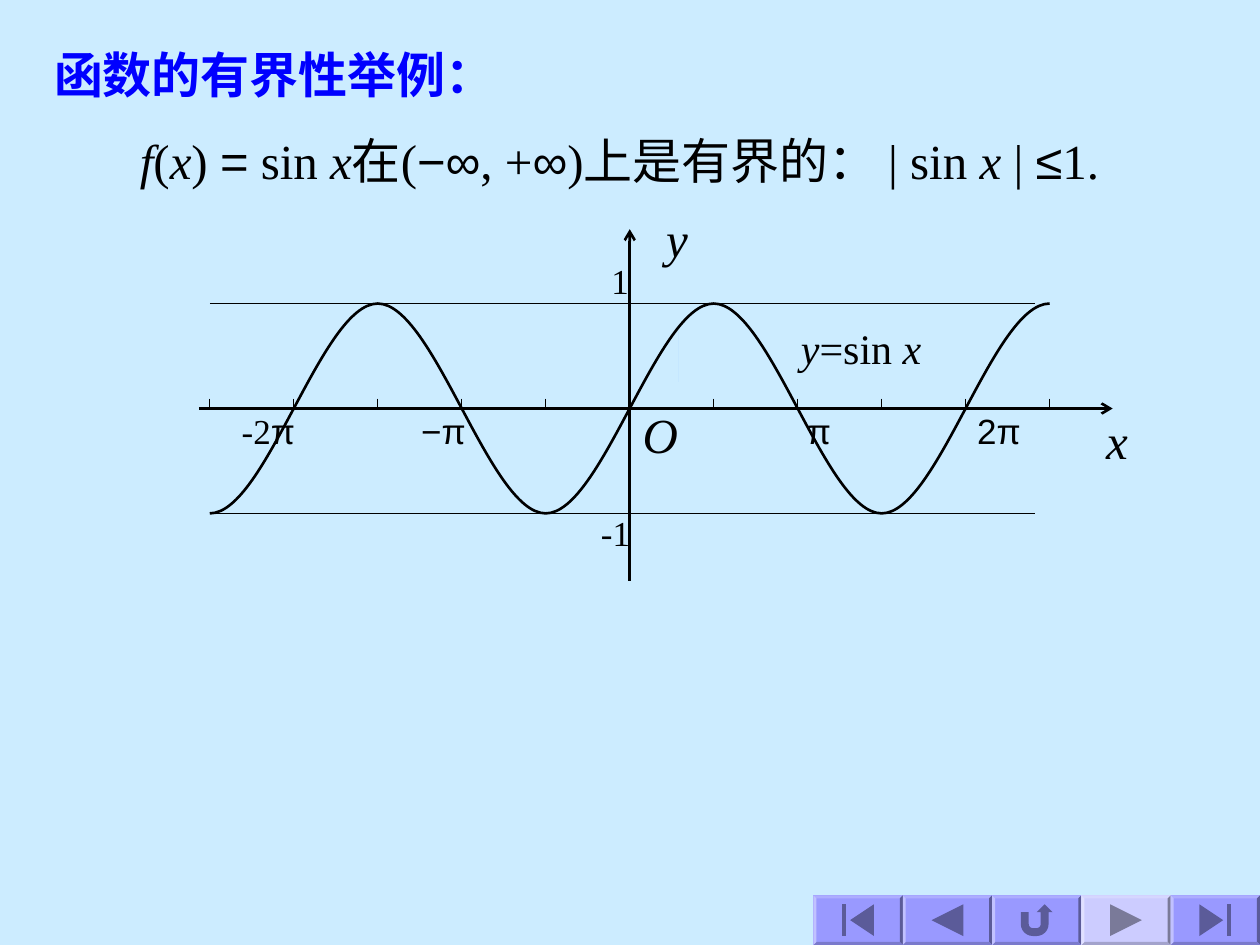
from itertools import cycle
from math import cos, pi, sin

from lxml.etree import SubElement
from pptx import Presentation
from pptx.dml.color import RGBColor
from pptx.enum.shapes import MSO_CONNECTOR, MSO_SHAPE
from pptx.enum.text import MSO_ANCHOR, MSO_AUTO_SIZE, PP_ALIGN
from pptx.oxml.ns import qn
from pptx.util import Cm, Pt

SKY = RGBColor(0xCC, 0xEC, 0xFF)
BLUE = RGBColor(0x00, 0x00, 0xFF)
BLACK = RGBColor(0x00, 0x00, 0x00)
PALE_BLUE = RGBColor(0x99, 0xCC, 0xFF)
VIOLET = RGBColor(0x99, 0x99, 0xFF)
PALE_VIOLET = RGBColor(0xCC, 0xCC, 0xFF)
SERIF, SANS = "Times New Roman", "Arial"


def apply_formats(target, formats):
    """Set each named attribute of the target."""
    for attribute, value in formats.items():
        setattr(target, attribute, value)


def place(shape, left, top, width, height):
    """Move and size a shape, in centimetres."""
    apply_formats(shape, {"left": Cm(left), "top": Cm(top),
                          "width": Cm(width), "height": Cm(height)})


def set_frame(frame, inset_x=0, inset_y=0, anchor=MSO_ANCHOR.MIDDLE, wrap=True):
    """Format a text frame without automatic fitting."""
    apply_formats(frame, {
        "margin_left": Cm(inset_x), "margin_right": Cm(inset_x),
        "margin_top": Cm(inset_y), "margin_bottom": Cm(inset_y),
        "vertical_anchor": anchor, "word_wrap": wrap,
        "auto_size": MSO_AUTO_SIZE.NONE})


def add_runs(paragraph, pieces, size, color=BLACK, bold=False):
    """Write (text, font, italic) pieces as runs."""
    for text, name, italic in pieces:
        run = paragraph.add_run()
        run.text = text
        apply_formats(run.font, {"name": name, "size": Pt(size),
                                 "bold": bold, "italic": italic})
        run.font.color.rgb = color


def add_heading(title, left, top, width, height):
    """Fill the title placeholder."""
    place(title, left, top, width, height)
    set_frame(title.text_frame, inset_x=0.25)
    paragraph = title.text_frame.paragraphs[0]
    paragraph.alignment = PP_ALIGN.LEFT
    add_runs(paragraph, [("函数的有界性举例：", SERIF, False)], 28, BLUE, True)


def add_statement(body, left, top, width, height):
    """Fill the body placeholder with the bounded function statement."""
    place(body, left, top, width, height)
    set_frame(body.text_frame, anchor=MSO_ANCHOR.TOP)
    paragraph = body.text_frame.paragraphs[0]
    properties = paragraph._p.get_or_add_pPr()
    properties.set("marL", str(Cm(1.98)))
    properties.set("indent", "0")
    SubElement(properties, qn("a:buNone"))
    apply_formats(paragraph, {"line_spacing": 1.4, "space_before": Pt(0),
                              "alignment": PP_ALIGN.LEFT})
    add_runs(paragraph, [
        ("f", SERIF, True), ("(", SERIF, False), ("x", SERIF, True),
        (") ", SERIF, False), ("=", SANS, False), (" sin ", SERIF, False),
        ("x", SERIF, True), ("在(", SERIF, False), ("−∞", SANS, False),
        (", +", SERIF, False), ("∞", SANS, False),
        (")上是有界的： | sin ", SERIF, False), ("x", SERIF, True),
        (" | ", SERIF, False), ("≤", SANS, False), ("1.", SERIF, False)], 28)


def add_line(shapes, start, end, weight, arrow=False):
    """Draw a black line between two points."""
    line = shapes.add_connector(MSO_CONNECTOR.STRAIGHT,
                                *(Cm(value) for value in (*start, *end)))
    line.line.color.rgb = BLACK
    line.line.width = Pt(weight)
    if arrow:
        SubElement(line.line._get_or_add_ln(), qn("a:tailEnd"), type="arrow")
    SubElement(line._element.spPr, qn("a:effectLst"))


def add_label(shapes, center_x, center_y, pieces, size, spacing):
    """Centre a label on a point."""
    width, height = 3, 0.8
    label = shapes.add_textbox(Cm(center_x - width / 2), Cm(center_y - height / 2),
                               Cm(width), Cm(height))
    set_frame(label.text_frame, 0.25, 0.13, wrap=False)
    paragraph = label.text_frame.paragraphs[0]
    apply_formats(paragraph, {"alignment": PP_ALIGN.CENTER, "line_spacing": spacing})
    add_runs(paragraph, pieces, size)


def build_outline(shapes, contours, close):
    """Build one freeform from contours given in centimetres."""
    builder = None
    for contour in contours:
        first, *rest = [(Cm(x), Cm(y)) for x, y in contour]
        if builder is None:
            builder = shapes.build_freeform(*first)
        else:
            builder.move_to(*first)
        builder.add_line_segments(rest, close=close)
    outline = builder.convert_to_shape()
    outline.shadow.inherit = False
    return outline


def add_sine(shapes, left, top, width, height):
    """Draw the sine curve as five cubic half waves."""
    third = width / 15
    levels = [top + height, top + height, top, top, top, top + height]
    points = [(left + index * third, levels[index % 6]) for index in range(16)]
    sine = build_outline(shapes, [points], False)
    sine.fill.background()
    sine.line.color.rgb = BLACK
    sine.line.width = Pt(1.5)
    geometry = sine._element.xpath(".//a:path")[0]
    for index, segment in enumerate(geometry.findall(qn("a:lnTo"))):
        if index % 3 == 0:
            cubic = SubElement(geometry, qn("a:cubicBezTo"))
        cubic.append(segment[0])
        geometry.remove(segment)


def add_plot(shapes, left, top, width, height):
    """Draw the curve, its bounds, the axes, the ticks and the labels."""
    middle, origin = top + height / 2, left + width / 2
    gap = shapes.add_shape(MSO_SHAPE.RECTANGLE, Cm(left + 9.44), Cm(top + 0.56), 0, Cm(1.02))
    gap.fill.solid()
    gap.fill.fore_color.rgb = PALE_BLUE
    gap.line.fill.background()
    gap.shadow.inherit = False
    add_sine(shapes, left, top, width, height)
    for bound in (top, top + height):
        add_line(shapes, (left, bound), (left + 16.64, bound), 1)
    add_line(shapes, (left - 0.22, middle), (left + 18.2, middle), 1.5, True)
    add_line(shapes, (origin, top + 5.59), (origin, top - 1.5), 1.5, True)
    for tick in range(11):
        if tick != 5:
            x = left + tick * width / 10
            add_line(shapes, (x, middle - 0.2), (x, middle), 0.75)
    for x, y, pieces, size, spacing in (
            (8.18, 4.69, [("-1", SERIF, False)], 20, 0.8),
            (8.27, -0.39, [("1", SERIF, False)], 20, 0.8),
            (9.42, -1.08, [("y", SERIF, True)], 28, 0.4),
            (18.29, 2.97, [("x", SERIF, True)], 28, 0.5),
            (9.08, 2.8, [("O", SERIF, True)], 28, 0.6),
            (1.18, 2.69, [("-2", SERIF, False), ("π", SANS, False)], 20, 0.6),
            (4.71, 2.69, [("−π", SANS, False)], 20, 0.6),
            (12.28, 2.69, [("π", SANS, False)], 20, 0.6),
            (15.91, 2.69, [("2π", SANS, False)], 20, 0.6),
            (13.13, 1.04, [("y", SERIF, True), ("=sin ", SERIF, False),
                           ("x", SERIF, True)], 24, 0.6)):
        add_label(shapes, left + x, top + y, pieces, size, spacing)


def arc(center_x, radius, start, end):
    """List points along an arc of the return arrow, angles in quarter turns."""
    angles = [(start + (end - start) * step / 6) * pi / 2 for step in range(7)]
    return [(center_x + radius * cos(a), 0.25 + radius * sin(a)) for a in angles]


def add_button(shapes, left, top, width, height, glyph, color):
    """Draw a bevelled button with a dark glyph."""
    bevel, unit = 0.06, 0.32
    right, bottom = left + width, top + height
    outer = [(left, top), (right, top), (right, bottom), (left, bottom)]
    inner = [(left + bevel, top + bevel), (right - bevel, top + bevel),
             (right - bevel, bottom - bevel), (left + bevel, bottom - bevel)]
    sides = [[outer[i], outer[(i + 1) % 4], inner[(i + 1) % 4], inner[i]] for i in range(4)]
    marks = [[(left + width / 2 + x * unit, top + height / 2 + y * unit) for x, y in part]
             for part in glyph]
    button = build_outline(shapes, [outer, *sides, *marks], True)
    button.fill.solid()
    button.fill.fore_color.rgb = color
    button.line.fill.background()
    shades = iter(["norm", "lightenLess", "darken", "darkenLess", "lighten",
                   *["darken"] * len(marks)])
    geometry = button._element.xpath(".//a:path")[0]
    faces = geometry.getparent()
    for node in list(geometry):
        if node.tag == qn("a:moveTo"):
            face = SubElement(faces, qn("a:path"), dict(geometry.attrib), fill=next(shades))
        face.append(node)
    faces.remove(geometry)


def add_navigation(shapes, left, top, width, height):
    """Draw the row of five navigation buttons."""
    def mirrored(glyph):
        return [[(-x, y) for x, y in part] for part in glyph]

    first = [[(-0.5, 0), (1, -1), (1, 1)], [(-1, -1), (-0.75, -1), (-0.75, 1), (-1, 1)]]
    previous = [[(-1, 0), (1, -1), (1, 1)]]
    back = [[(-1, -0.5), (-0.5, -0.5), *arc(-0.25, 0.25, 2, 1), *arc(0, 0.25, 1, 0),
             (0.25, -0.5), (0, -0.5), (0.5, -1), (1, -0.5), (0.75, -0.5),
             *arc(0, 0.75, 0, 1), *arc(-0.25, 0.75, 1, 2)]]
    glyphs = [first, previous, back, mirrored(previous), mirrored(first)]
    colors = cycle([VIOLET, VIOLET, VIOLET, PALE_VIOLET, VIOLET])
    step = width / len(glyphs)
    for index, (glyph, color) in enumerate(zip(glyphs, colors)):
        add_button(shapes, left + index * step, top, step, height, glyph, color)


def main():
    """Build and save the slide."""
    deck = Presentation()
    deck.slide_width, deck.slide_height = Cm(25.4), Cm(19.05)
    slide = deck.slides.add_slide(deck.slide_layouts[1])
    slide.background.fill.solid()
    slide.background.fill.fore_color.rgb = SKY
    add_heading(slide.shapes.title, 0.84, 0.84, 11.73, 1.3)
    add_statement(slide.placeholders[1], 0.84, 2.16, 23.7, 1.65)
    add_plot(slide.shapes, 4.23, 6.12, 16.93, 4.23)
    add_navigation(slide.shapes, 16.4, 18.05, 9, 1)
    deck.save("out.pptx")


if __name__ == "__main__":
    main()
